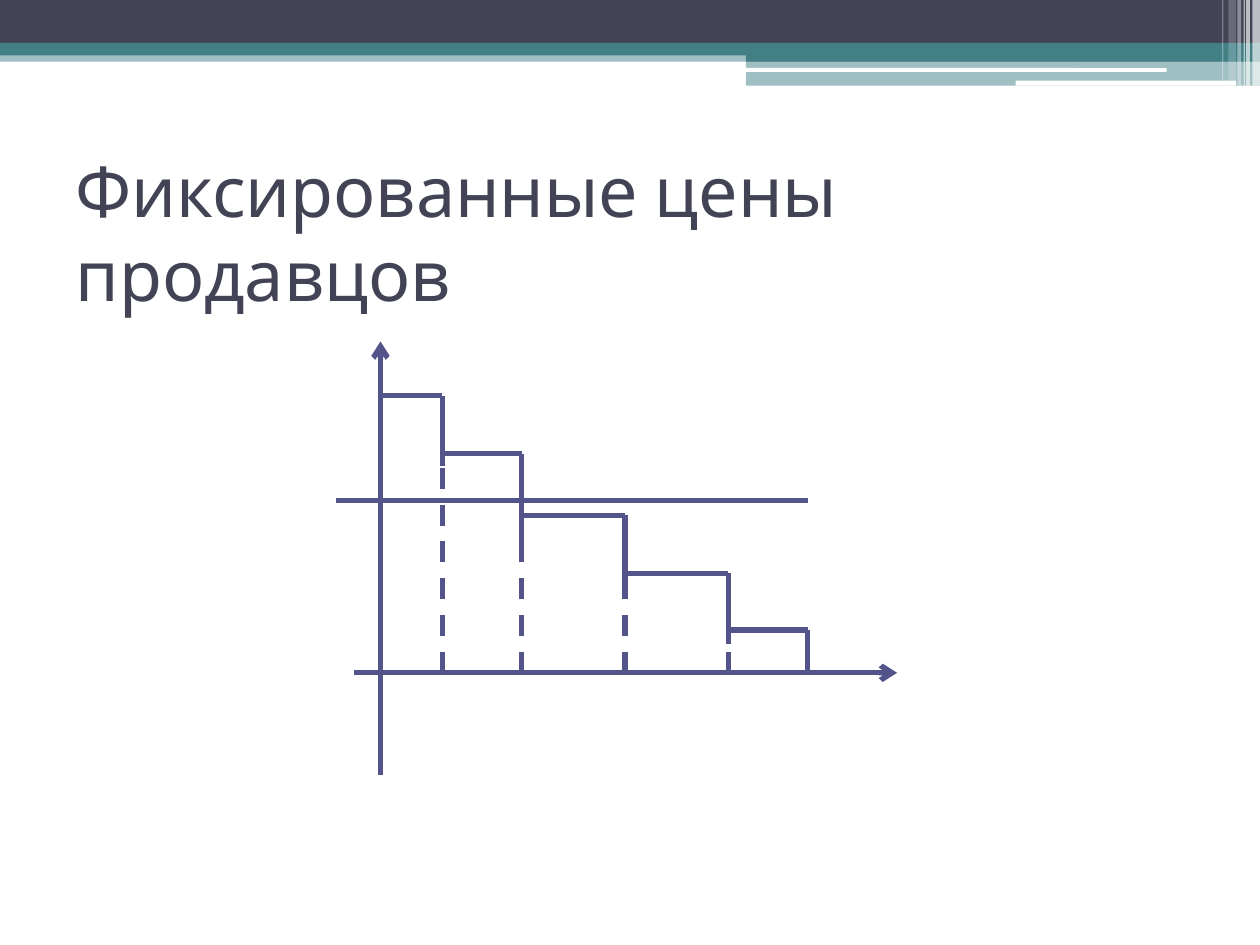
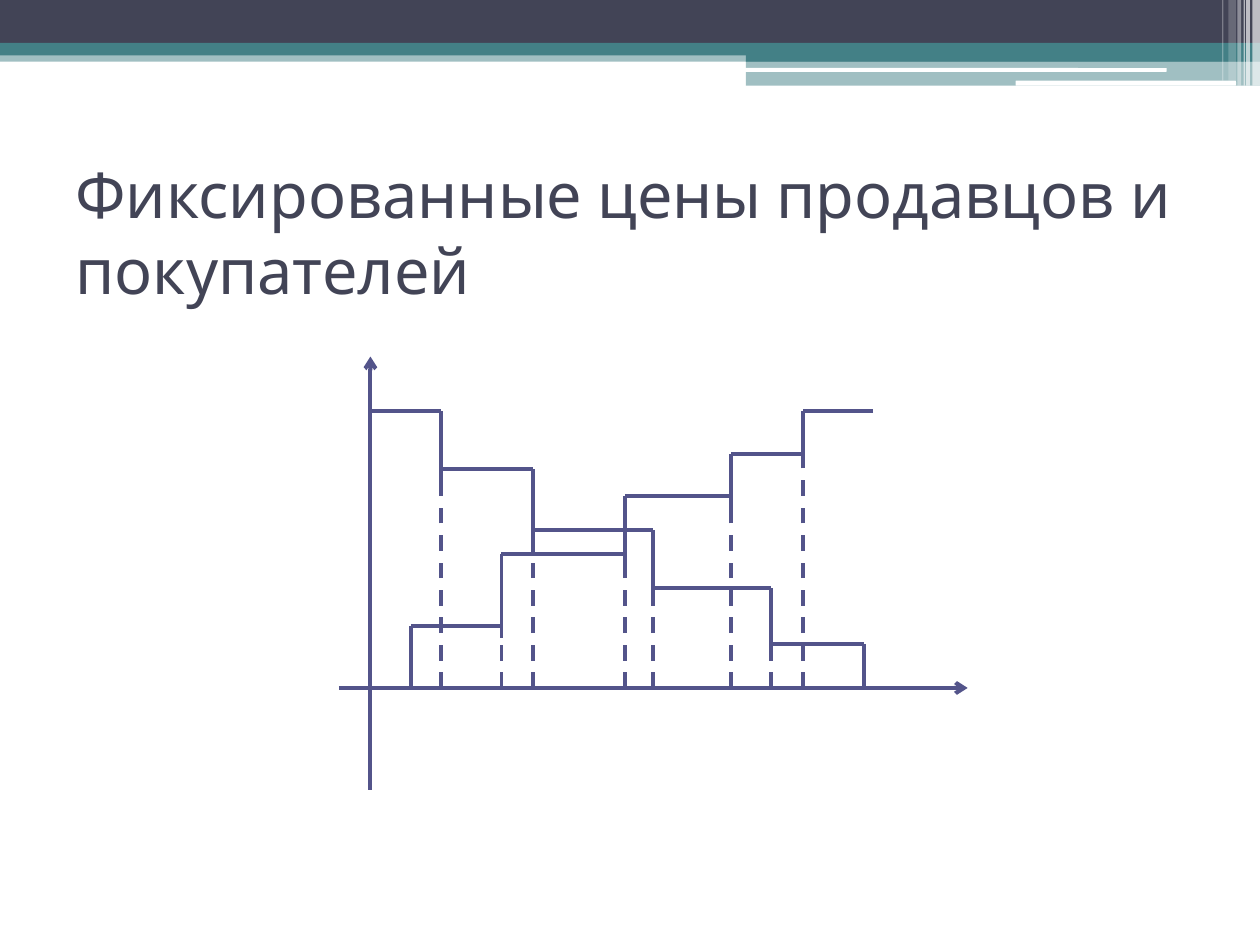
from pptx import Presentation
from pptx.dml.color import RGBColor
from pptx.enum.dml import MSO_LINE
from pptx.enum.shapes import MSO_CONNECTOR, MSO_SHAPE
from pptx.enum.text import MSO_ANCHOR
from pptx.oxml.ns import qn
from pptx.util import Inches, Pt
from lxml import etree

RECT, ROUND = MSO_SHAPE.RECTANGLE, MSO_SHAPE.ROUNDED_RECTANGLE
STRAIGHT, DASH, MIDDLE = MSO_CONNECTOR.STRAIGHT, MSO_LINE.DASH, MSO_ANCHOR.MIDDLE
FONT = "Karla"
COLORS = {"ink": "424456", "teal": "438086", "white": "FFFFFF", "line": "53548A"}

# Header bands: preset, left, top, width, height, colour, opacity in percent
BANDS = [
    (RECT, 0, 0.4, 10, 0.09, "teal", 50),
    (RECT, 0, 0, 10, 0.34, "ink", 100),
    (RECT, 0, 0.34, 10, 0.1, "teal", 100),
    (RECT, 5.92, 0.39, 4.08, 0.1, "teal", 100),
    (RECT, 5.92, 0.48, 4.08, 0.2, "teal", 50),
    (ROUND, 5.91, 0.54, 3.35, 0.03, "white", 100),
    (ROUND, 8.06, 0.64, 1.75, 0.04, "white", 100),
]
# Pale stripes at the right end: left, width, height, opacity
STRIPES = [
    (9.94, 0.06, 0.68, 65), (9.89, 0.03, 0.68, 65), (9.87, 0.01, 0.68, 60),
    (9.82, 0.03, 0.68, 40), (9.75, 0.06, 0.64, 20), (9.7, 0.01, 0.64, 30),
]
BANDS += [(RECT, x, 0, w, h, "white", a) for x, w, h, a in STRIPES]

# Stairs go from the top step down: step edges, step levels, and the
# lower end of each solid riser (the last riser ends on the base line)
SLIDES = [
    {
        "title": "Фиксированные цены продавцов", "size": 40, "weight": 3,
        "base": 5.34, "across": (2.81, 7.12),
        "origin": 3.02, "up": (6.15, 2.71),
        "stairs": [
            {"edges": [3.02, 3.51, 4.14, 4.96, 5.78, 6.41],
             "levels": [3.14, 3.6, 4.09, 4.55, 5], "feet": [3.7, 4.3, 4.65, 5.11]},
        ],
        "price": (2.67, 3.97, 6.41, 3.97),
    },
    {
        "title": "Фиксированные цены продавцов и покупателей", "size": 36, "weight": 2.25,
        "base": 5.46, "across": (2.69, 7.68),
        "origin": 2.94, "up": (6.27, 2.83),
        "stairs": [
            {"edges": [2.94, 3.5, 4.23, 5.18, 6.12, 6.86],
             "levels": [3.26, 3.72, 4.21, 4.67, 5.11], "feet": [3.81, 4.41, 4.76, 5.22]},
            {"edges": [6.93, 6.37, 5.8, 4.96, 3.98, 3.26],
             "levels": [3.26, 3.6, 3.94, 4.4, 4.97], "feet": [3.6, 4.05, 4.49, 5.06]},
        ],
        "price": None,
    },
]


def color(name):
    return RGBColor.from_string(COLORS[name])


def add_band(slide, kind, x, y, w, h, name, alpha):
    band = slide.shapes.add_shape(kind, Inches(x), Inches(y), Inches(w), Inches(h))
    band.shadow.inherit = False
    band.fill.solid()
    band.fill.fore_color.rgb = color(name)
    band.line.fill.background()
    if alpha < 100:
        fill = band.fill._xPr.find(qn("a:solidFill"))
        etree.SubElement(fill[0], qn("a:alpha")).set("val", str(alpha * 1000))


def add_title(slide, text, size):
    box = slide.shapes.add_textbox(Inches(0.5), Inches(1.25), Inches(9), Inches(1.17))
    frame = box.text_frame
    frame.word_wrap = True
    frame.vertical_anchor = MIDDLE
    frame.text = text
    font = frame.paragraphs[0].runs[0].font
    font.size, font.name = Pt(size), FONT
    font.color.rgb = color("ink")


def add_line(group, ends, weight, dash=False, arrow=False):
    line = group.shapes.add_connector(STRAIGHT, *[Inches(v) for v in ends])
    line.line.width = Pt(weight)
    line.line.color.rgb = color("line")
    if dash:
        line.line.dash_style = DASH
    if arrow:
        etree.SubElement(line.line._get_or_add_ln(), qn("a:tailEnd")).set("type", "arrow")
    etree.SubElement(line._element.spPr, qn("a:effectLst"))


def add_stair(group, stair, base, weight):
    edges, levels = stair["edges"], stair["levels"]
    feet = stair["feet"] + [base]
    for start, end, level, foot in zip(edges, edges[1:], levels, feet):
        add_line(group, (start, level, end, level), weight)
        add_line(group, (end, foot, end, level), weight)
    # Dashed drops start at the next step down
    for x, level in zip(edges[1:-1], levels[1:]):
        add_line(group, (x, base, x, level), weight, dash=True)


def add_graph(slide, data):
    group = slide.shapes.add_group_shape()
    base, zero, weight = data["base"], data["origin"], data["weight"]
    (left, right), (low, high) = data["across"], data["up"]
    add_line(group, (zero, low, zero, high), weight, arrow=True)
    add_line(group, (left, base, right, base), weight, arrow=True)
    for stair in data["stairs"]:
        add_stair(group, stair, base, weight)
    if data["price"]:
        add_line(group, data["price"], weight)


deck = Presentation()
deck.slide_width, deck.slide_height = Inches(10), Inches(7.5)
for data in SLIDES:
    slide = deck.slides.add_slide(deck.slide_layouts[6])
    for band in BANDS:
        add_band(slide, *band)
    add_title(slide, data["title"], data["size"])
    add_graph(slide, data)
deck.save("out.pptx")
